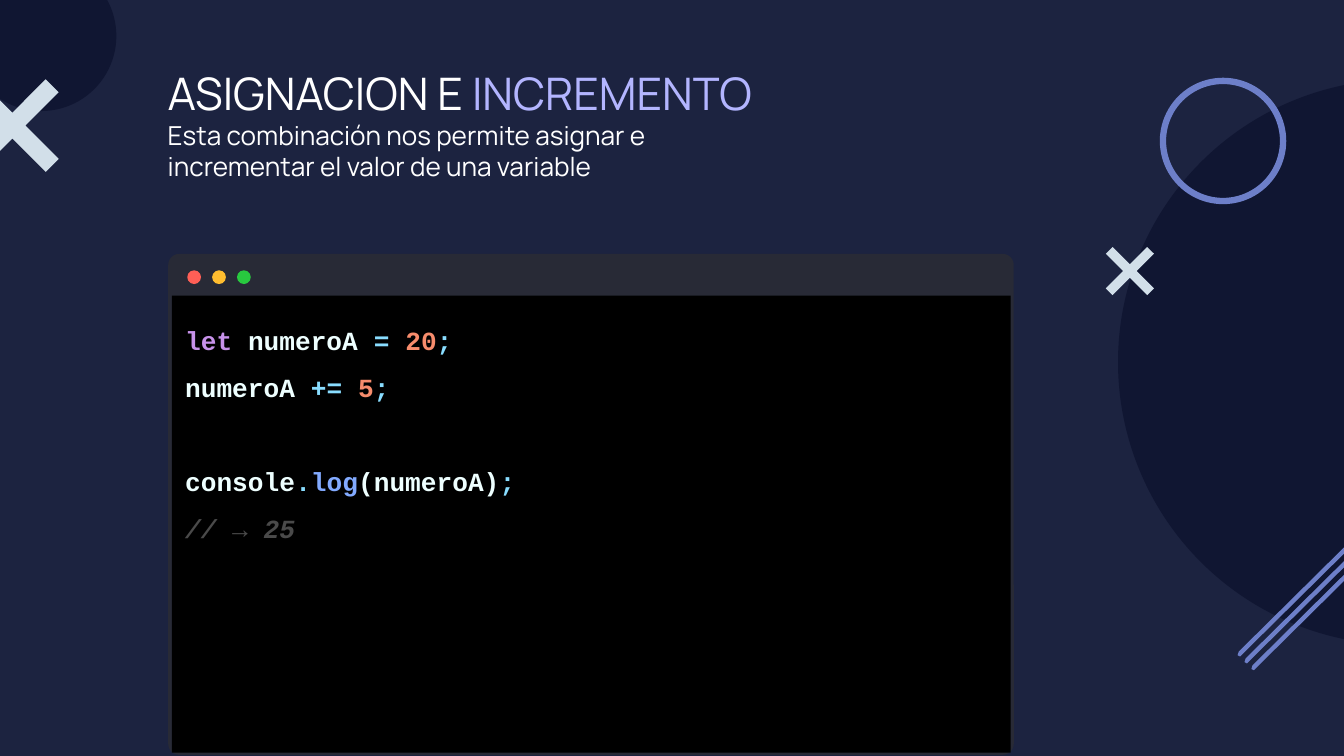
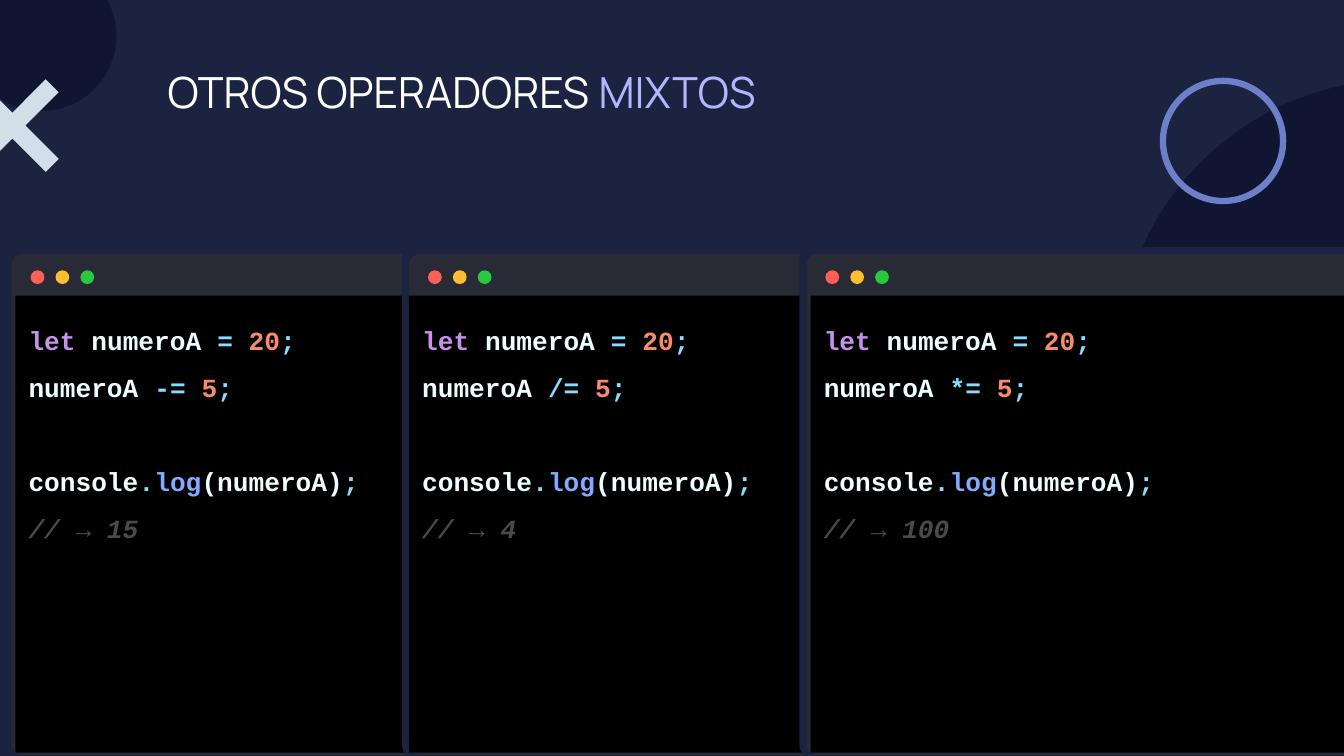
"""Build two slides on combined assignment operators, with code windows."""
import dataclasses

import pptx
import pptx.dml.color
import pptx.enum.shapes
import pptx.enum.text
import pptx.util

Cm = pptx.util.Cm
PRESET = pptx.enum.shapes.MSO_SHAPE


@dataclasses.dataclass(frozen=True)
class Theme:
    background: str = "1C2340"
    disc: str = "101632"
    cross: str = "D2DFE9"
    accent: str = "6D7FC9"
    frame: str = "282A36"
    screen: str = "000000"
    lights: tuple = ("FF5F56", "FFBD2F", "28C93F")
    white: str = "FFFFFF"
    highlight: str = "B3B5FF"
    keyword: str = "C792EA"
    plain: str = "EEFFFF"
    operator: str = "89DDFF"
    number: str = "F78C6C"
    method: str = "82AAFF"
    comment: str = "4A4A4A"
    title_font: str = "Manrope"
    code_font: str = "Courier New"
    body_size: int = 14


THEME = Theme()


def paint(shape, color, adjustment=None):
    shape.shadow.inherit = False
    shape.fill.solid()
    shape.fill.fore_color.rgb = pptx.dml.color.RGBColor.from_string(color)
    shape.line.fill.background()
    if adjustment is not None:
        shape.adjustments[0] = adjustment
    return shape


def write_line(frame, runs, font, size, bold=False, italic=False, spacing=1.0, before=0):
    frame.word_wrap = True
    frame.vertical_anchor = pptx.enum.text.MSO_ANCHOR.TOP
    frame.margin_left = frame.margin_right = frame.margin_top = frame.margin_bottom = Cm(0.25)
    line = frame.paragraphs[0]
    if line.runs:
        line = frame.add_paragraph()
    line.alignment = pptx.enum.text.PP_ALIGN.LEFT
    line.line_spacing = spacing
    line.space_before = pptx.util.Pt(before)
    for text, color in runs:
        run = line.add_run()
        run.text = text
        run.font.name = font
        run.font.size = pptx.util.Pt(size)
        run.font.bold = bold
        run.font.italic = italic
        run.font.color.rgb = pptx.dml.color.RGBColor.from_string(color)


ARM = 0.14
CROSS = [
    (ARM, 0), (0, ARM), (0.5 - ARM, 0.5), (0, 1 - ARM), (ARM, 1), (0.5, 0.5 + ARM),
    (1 - ARM, 1), (1, 1 - ARM), (0.5 + ARM, 0.5), (1, ARM), (1 - ARM, 0), (0.5, 0.5 - ARM),
]
STRIPE = [(0.99, 0), (0.97, 0.01), (0.01, 0.96), (0, 0.99),
          (0.02, 1), (0.03, 0.99), (0.99, 0.04), (1, 0.01)]
BIG_CROSS = (CROSS, -0.64, 1.5, 1.75, THEME.cross)
SMALL_CROSS = (CROSS, 20.9, 4.67, 0.91, THEME.cross)
STRIPES = [(STRIPE, 23.39 + 0.13 * step, 10.06 + 0.13 * step, 2.35, THEME.accent)
           for step in range(3)]

LESSONS = [
    {
        "title": ("ASIGNACION E ", "INCREMENTO"),
        "title_size": 24,
        "subtitle": "Esta combinación nos permite asignar e incrementar el valor de una variable",
        "ornaments": [SMALL_CROSS, *STRIPES, BIG_CROSS],
        "windows": [(3.18, 3.25, "+=", "25")],
    },
    {
        "title": ("OTROS OPERADORES ", "MIXTOS"),
        "title_size": 23,
        "subtitle": None,
        "ornaments": [BIG_CROSS],
        "windows": [(0.22, 0.29, "-=", "15"), (7.73, 7.73, "/=", "4"), (15.24, 15.32, "*=", "100")],
    },
]

deck = pptx.Presentation()
deck.slide_width, deck.slide_height = Cm(25.4), Cm(14.29)

for lesson in LESSONS:
    slide = deck.slides.add_slide(deck.slide_layouts[6])
    slide.background.fill.solid()
    slide.background.fill.fore_color.rgb = pptx.dml.color.RGBColor.from_string(THEME.background)
    shapes = slide.shapes

    for left, top, size in [(-0.64, -0.74, 2.84), (21.13, 1.5, 10.69)]:
        paint(shapes.add_shape(PRESET.OVAL, Cm(left), Cm(top), Cm(size), Cm(size)), THEME.disc)
    ring = shapes.add_shape(PRESET.DONUT, Cm(21.92), Cm(1.47), Cm(2.39), Cm(2.39))
    paint(ring, THEME.accent, 0.05)

    for outline, left, top, size, color in lesson["ornaments"]:
        points = [(Cm(left + x * size), Cm(top + y * size)) for x, y in outline]
        builder = shapes.build_freeform(*points[0])
        builder.add_line_segments(points[1:], close=True)
        paint(builder.convert_to_shape(), color)

    heading = shapes.add_textbox(Cm(2.92), Cm(0.99), Cm(12.34), Cm(2.18)).text_frame
    write_line(heading, zip(lesson["title"], (THEME.white, THEME.highlight)),
               font=THEME.title_font, size=lesson["title_size"])
    if lesson["subtitle"]:
        write_line(heading, [(lesson["subtitle"], THEME.white)],
                   font=THEME.title_font, size=THEME.body_size)

    for index, (left, screen_left, operator, result) in enumerate(lesson["windows"]):
        window = shapes.add_group_shape().shapes
        if index:
            gap = window.add_shape(PRESET.ROUNDED_RECTANGLE, Cm(left - 0.13), Cm(4.67), Cm(16.26), Cm(9.63))
            paint(gap, THEME.background, 0.022)
        frame = window.add_shape(PRESET.ROUNDED_RECTANGLE, Cm(left), Cm(4.8), Cm(15.98), Cm(9.47))
        paint(frame, THEME.frame, 0.022)
        for position, color in enumerate(THEME.lights):
            light_left = left + 0.36 + 0.47 * position
            paint(window.add_shape(PRESET.OVAL, Cm(light_left), Cm(5.11), Cm(0.26), Cm(0.26)), color)

        screen = shapes.add_shape(PRESET.RECTANGLE, Cm(screen_left), Cm(5.59), Cm(15.85), Cm(8.64))
        paint(screen, THEME.screen)
        code = [
            ([("let", THEME.keyword), (" numeroA ", THEME.plain), ("= ", THEME.operator),
              ("20", THEME.number), (";", THEME.operator)], {}),
            ([("numeroA ", THEME.plain), (operator + " ", THEME.operator),
              ("5", THEME.number), (";", THEME.operator)], {}),
            ([("console", THEME.plain), (".", THEME.operator), ("log", THEME.method),
              ("(numeroA)", THEME.plain), (";", THEME.operator)], {"before": 25}),
            ([("// → " + result, THEME.comment)], {"italic": True}),
        ]
        for runs, extra in code:
            write_line(screen.text_frame, runs, font=THEME.code_font, size=THEME.body_size,
                       bold=True, spacing=1.5, **extra)

deck.save("out.pptx")
